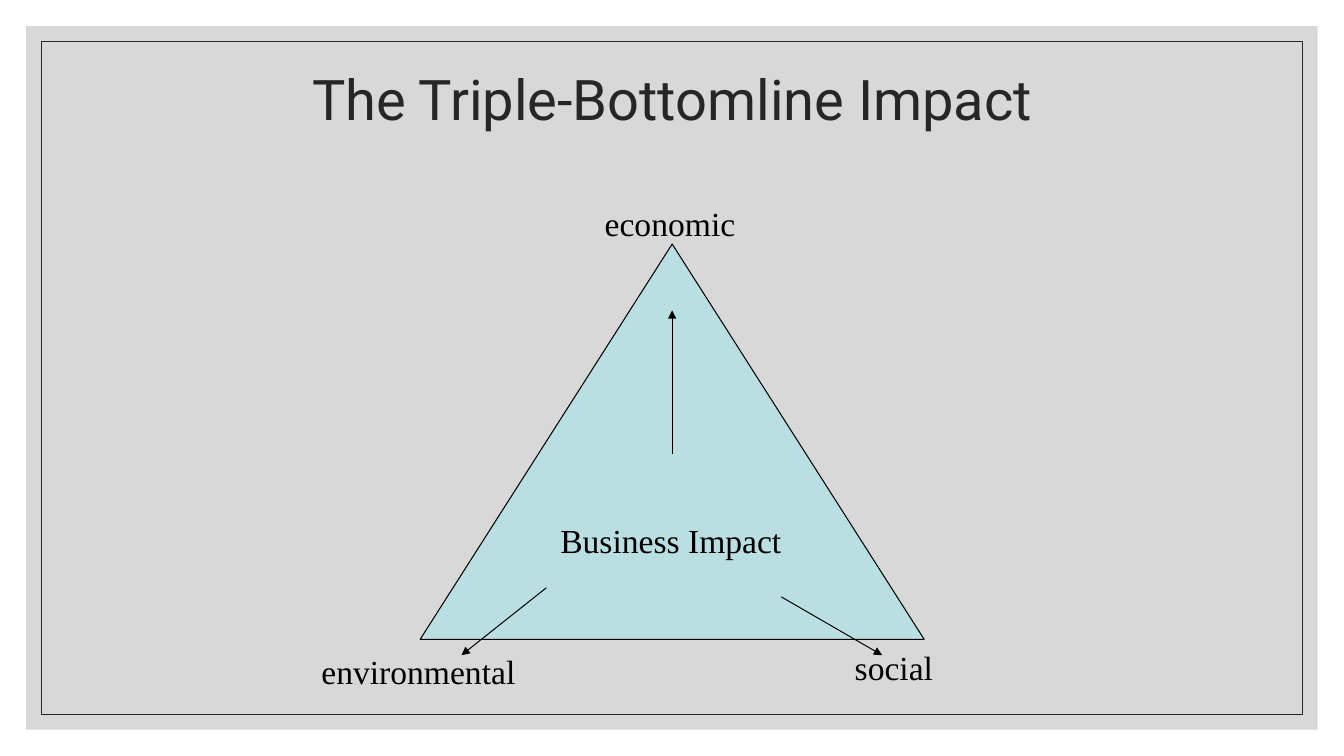
from lxml.etree import SubElement
from pptx import Presentation
from pptx.dml.color import RGBColor
from pptx.enum.shapes import MSO_CONNECTOR, MSO_SHAPE
from pptx.enum.text import PP_ALIGN
from pptx.oxml.ns import qn
from pptx.util import Cm, Pt

SLIDE_BOX = (0, 0, 33.87, 19.05)
TITLE_BOX = (2.97, 1.78, 27.94, 3.81)
TRIANGLE_BOX = (10.59, 6.15, 12.7, 9.96)
TITLE_FORMAT = {"name": "Roboto", "size": Pt(40)}
LABEL_FORMAT = {"name": "Times New Roman", "size": Pt(24)}

# Offsets from the triangle's top left corner, in cm
LABELS = [
    ("economic", 4.65, -1.07, 3.68),
    ("Business Impact", 3.53, 6.93, 5.64),
    ("environmental", -2.49, 10.21, 5.69),
    ("social", 10.95, 10.13, 2.46),
]
ARROWS = [
    ((6.35, 5.28), (6.35, 1.67)),
    ((3.18, 8.66), (1.04, 10.36)),
    ((9.1, 8.89), (11.64, 10.36)),
]


def color(value):
    return RGBColor.from_string(value)


def add_figure(slide, kind, box, fill=None, line=None, line_width=0.75):
    shape = slide.shapes.add_shape(kind, *map(Cm, box))
    shape.shadow.inherit = False
    if fill:
        shape.fill.solid()
        shape.fill.fore_color.rgb = color(fill)
    else:
        shape.fill.background()
    if line:
        shape.line.color.rgb = color(line)
        shape.line.width = Pt(line_width)
    else:
        shape.line.fill.background()
    return shape


def add_text(slide, text, box, font_format, text_color, **paragraph_format):
    frame = slide.shapes.add_textbox(*map(Cm, box)).text_frame
    frame_format = {"word_wrap": True, "margin_left": 0, "margin_right": 0,
                    "margin_top": Cm(0.03), "margin_bottom": 0}
    for name, value in frame_format.items():
        setattr(frame, name, value)
    paragraph = frame.paragraphs[0]
    paragraph.space_before = Pt(1)
    for name, value in paragraph_format.items():
        setattr(paragraph, name, value)
    run = paragraph.add_run()
    run.text = text
    for name, value in font_format.items():
        setattr(run.font, name, value)
    run.font.color.rgb = color(text_color)


def add_arrow(slide, start, end):
    arrow = slide.shapes.add_connector(
        MSO_CONNECTOR.STRAIGHT, *map(Cm, start + end))
    arrow.line.color.rgb = color("000000")
    arrow.line.width = Pt(0.7)
    SubElement(arrow.line._get_or_add_ln(), qn("a:tailEnd"), type="triangle")
    SubElement(arrow._element.spPr, qn("a:effectLst"))


def add_background(slide, box):
    left, top, width, height = box

    def inset(margin):
        return (left + margin, top + margin,
                width - 2 * margin, height - 2 * margin)

    # Translucent grey panel with a thin frame
    panel = add_figure(slide, MSO_SHAPE.RECTANGLE, inset(0.66), fill="BFBFBF")
    panel_color = panel._element.spPr.find(".//" + qn("a:srgbClr"))
    SubElement(panel_color, qn("a:alpha"), val="60000")
    add_figure(slide, MSO_SHAPE.RECTANGLE, inset(1.04),
               line="262626", line_width=0.5)


def add_title(slide, box):
    add_text(slide, "The Triple-Bottomline Impact", box, TITLE_FORMAT,
             "262626", alignment=PP_ALIGN.CENTER, line_spacing=0.9)


def add_impact_triangle(slide, box):
    left, top = box[:2]
    add_figure(slide, MSO_SHAPE.ISOSCELES_TRIANGLE, box,
               fill="BADFE2", line="000000")

    # Labels at the corners and in the middle
    for text, x, y, width in LABELS:
        add_text(slide, text, (left + x, top + y, width, 1.09),
                 LABEL_FORMAT, "000000")

    # Arrows from the middle to the corners
    for (start_x, start_y), (end_x, end_y) in ARROWS:
        add_arrow(slide, (left + start_x, top + start_y),
                  (left + end_x, top + end_y))


def main():
    presentation = Presentation()
    presentation.slide_width, presentation.slide_height = map(Cm, SLIDE_BOX[2:])
    slide = presentation.slides.add_slide(presentation.slide_layouts[6])
    add_background(slide, SLIDE_BOX)
    add_title(slide, TITLE_BOX)
    add_impact_triangle(slide, TRIANGLE_BOX)
    presentation.save("out.pptx")


if __name__ == "__main__":
    main()
